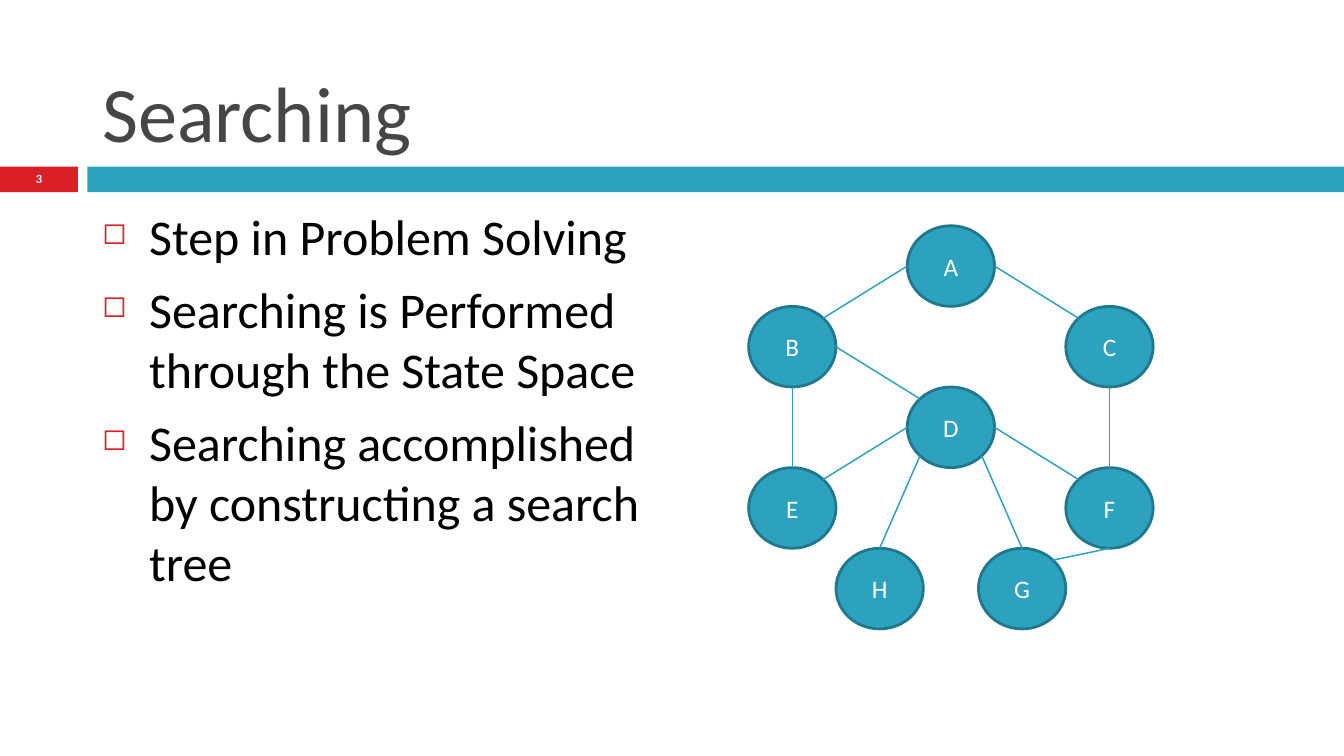
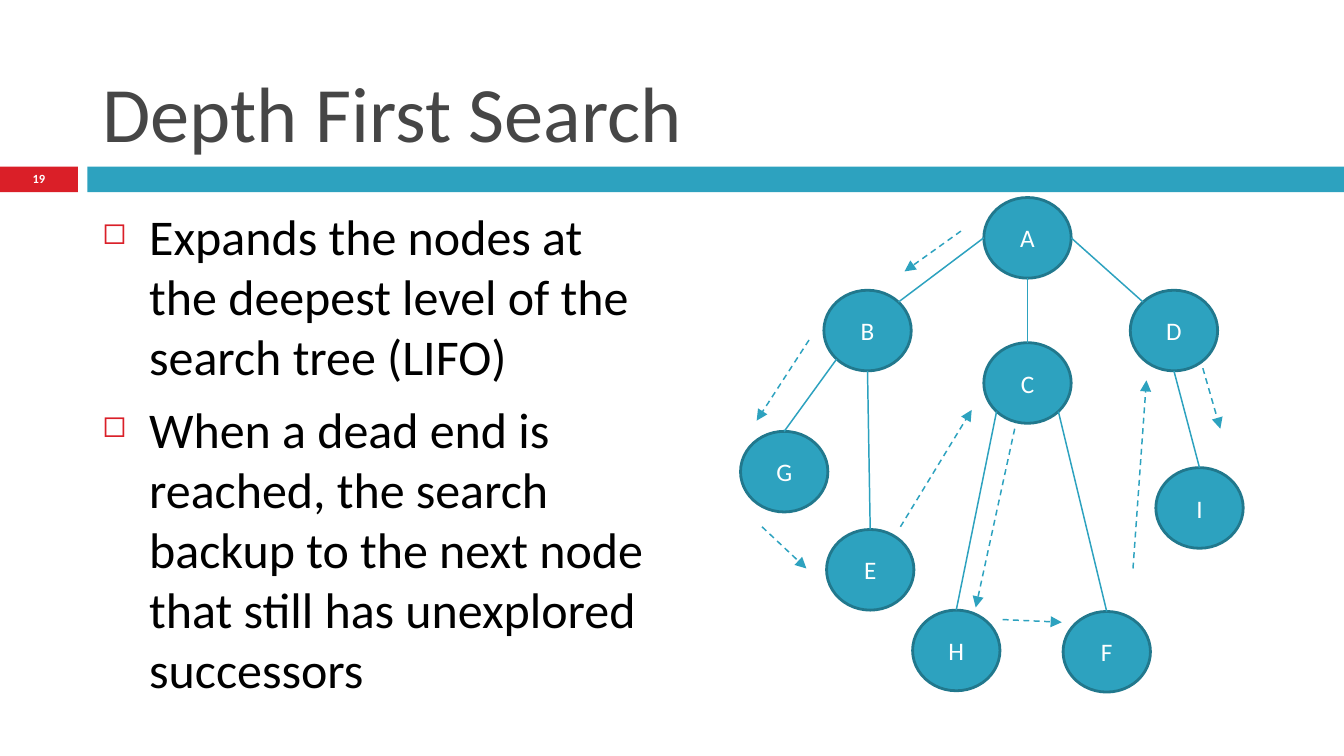
from math import sqrt

from lxml.etree import SubElement as Sub
from pptx import Presentation
from pptx.dml.color import RGBColor
from pptx.enum.dml import MSO_LINE as Dash
from pptx.enum.shapes import MSO_CONNECTOR as Link, MSO_SHAPE as Kind
from pptx.enum.text import MSO_ANCHOR as Anchor, PP_ALIGN as Align
from pptx.oxml.ns import qn
from pptx.util import Inches, Pt

FONT = "Calibri"
TEAL, RIM, RED = "2DA2BF", "21788D", "DA1F28"
GREY, BLACK, WHITE = "464646", "000000", "FFFFFF"
NODE_W, NODE_H = 0.65, 0.6
DIAG = sqrt(0.5)
SITES = {
    "n": (0, -1), "s": (0, 1), "w": (-1, 0), "e": (1, 0),
    "nw": (-DIAG, -DIAG), "ne": (DIAG, -DIAG),
    "sw": (-DIAG, DIAG), "se": (DIAG, DIAG),
}

SEARCH = {
    "title": "Searching",
    "page": "3",
    "points": [
        "Step in Problem Solving",
        "Searching is Performed through the State Space",
        "Searching accomplished by constructing a search tree",
    ],
    "spot": (5.57, 1.68),
    "nodes": {
        "A": (1.18, 0), "B": (0, 0.6), "C": (2.36, 0.6), "D": (1.18, 1.2),
        "E": (0, 1.8), "F": (2.36, 1.8), "H": (0.65, 2.4), "G": (1.71, 2.4),
    },
    "edges": [
        "A w B ne", "A e C nw", "B e D nw", "C s F n", "D e F nw",
        "B s E n", "D w E ne", "D sw H n", "D se G n", "F s G ne",
    ],
    "steps": [],
}
DEPTH = {
    "title": "Depth First Search",
    "page": "19",
    "points": [
        "Expands the nodes at the deepest level of the search tree (LIFO)",
        "When a dead end is reached, the search backup to the next node "
        "that still has unexplored successors",
    ],
    "spot": (5.51, 1.47),
    "nodes": {
        "A": (1.81, 0), "B": (0.62, 0.69), "C": (1.81, 1.08),
        "D": (2.9, 0.69), "E": (0.64, 2.47), "F": (2.4, 3.08),
        "H": (1.28, 3.07), "G": (0, 1.74), "I": (3.09, 2.01),
    },
    "edges": [
        "A w B ne", "A s C n", "A e D nw", "C se F n",
        "B s E n", "C sw H n", "B sw G n", "D s I n",
    ],
    "steps": [
        ((1.64, 0.25), (1.22, 0.55)), ((0.51, 1.06), (0.12, 1.66)),
        ((0.16, 2.45), (0.49, 2.76)), ((1.19, 2.45), (1.72, 1.58)),
        ((2.04, 1.72), (1.75, 3.05)), ((1.95, 3.14), (2.39, 3.16)),
        ((2.92, 2.76), (3.02, 1.36)), ((3.44, 1.27), (3.57, 1.72)),
    ],
}


def tint(code):
    """Turn a hex string into a colour."""
    return RGBColor.from_string(code)


def style(para, size, code, bold=False):
    """Format every run of a paragraph."""
    for run in para.runs:
        run.font.name = FONT
        run.font.size = Pt(size)
        run.font.bold = bold
        run.font.color.rgb = tint(code)


def pad(frame, side, edge):
    """Set the insets of a text frame."""
    frame.margin_left = frame.margin_right = Inches(side)
    frame.margin_top = frame.margin_bottom = Inches(edge)


def add_solid(shapes, kind, box, fill, rim=None):
    """Add a filled shape, with an outline if a rim colour is given."""
    shape = shapes.add_shape(kind, *map(Inches, box))
    shape.shadow.inherit = False
    shape.fill.solid()
    shape.fill.fore_color.rgb = tint(fill)
    if rim:
        shape.line.color.rgb = tint(rim)
        shape.line.width = Pt(1.5)
    else:
        shape.line.fill.background()
    return shape


def add_frame(slide, box, anchor, side=0.09, edge=0.05):
    """Add a wrapping text box and return its frame."""
    frame = slide.shapes.add_textbox(*map(Inches, box)).text_frame
    frame.word_wrap = True
    frame.vertical_anchor = anchor
    pad(frame, side, edge)
    return frame


def add_band(slide, page, box):
    """Draw the red and teal band with the page number."""
    left, top, width, height = box
    tab, gap = 0.58, 0.07
    add_solid(slide.shapes, Kind.RECTANGLE, (left, top, tab, height), RED)
    rest = (left + tab + gap, top, width - tab - gap, height)
    add_solid(slide.shapes, Kind.RECTANGLE, rest, TEAL)
    frame = add_frame(slide, (left, top - 0.01, tab, 0.2), Anchor.MIDDLE, 0, 0)
    frame.text = page
    para = frame.paragraphs[0]
    para.alignment = Align.CENTER
    style(para, 6.7, WHITE, True)


def add_title(slide, text, box):
    """Write the slide title."""
    frame = add_frame(slide, box, Anchor.BOTTOM)
    frame.text = text
    style(frame.paragraphs[0], 42, GREY)


def add_points(slide, points, box):
    """Write the list with hollow red bullets."""
    frame = add_frame(slide, box, Anchor.TOP)
    frame.text = "\n".join(points)
    for para in frame.paragraphs:
        para.space_before = Pt(7)
        style(para, 26.8, BLACK)
        props = para._p.get_or_add_pPr()
        props.set("marL", str(Inches(0.35)))
        props.set("indent", str(-Inches(0.35)))
        Sub(Sub(props, qn("a:buClr")), qn("a:srgbClr"), val=RED)
        Sub(props, qn("a:buSzPct"), val="60000")
        Sub(props, qn("a:buChar"), char="◻")


def add_node(shapes, name, left, top):
    """Draw one lettered node."""
    box = (left, top, NODE_W, NODE_H)
    frame = add_solid(shapes, Kind.OVAL, box, TEAL, RIM).text_frame
    pad(frame, 0, 0)
    frame.vertical_anchor = Anchor.MIDDLE
    frame.text = name
    para = frame.paragraphs[0]
    para.alignment = Align.CENTER
    style(para, 13.5, WHITE)


def add_link(shapes, start, end, arrow=False):
    """Draw a plain edge or a dashed arrow."""
    link = shapes.add_connector(Link.STRAIGHT, *map(Inches, start + end))
    link.line.color.rgb = tint(TEAL)
    link.line.width = Pt(0.79)
    props = link.element.spPr
    if arrow:
        link.line.dash_style = Dash.DASH
        Sub(props.find(qn("a:ln")), qn("a:tailEnd"), type="triangle")
    Sub(props, qn("a:effectLst"))


def add_graph(slide, data, spot):
    """Draw nodes, edges and search steps from the given corner."""
    shapes = slide.shapes.add_group_shape().shapes

    def place(point):
        """Shift a point by the corner of the graph."""
        return spot[0] + point[0], spot[1] + point[1]

    def site(name, side):
        """Find the point on the rim of a node."""
        left, top = place(data["nodes"][name])
        across, down = SITES[side]
        return (left + NODE_W / 2 * (1 + across),
                top + NODE_H / 2 * (1 + down))

    for name, point in data["nodes"].items():
        add_node(shapes, name, *place(point))
    for edge in data["edges"]:
        first, out, last, into = edge.split()
        add_link(shapes, site(first, out), site(last, into))
    for start, end in data["steps"]:
        add_link(shapes, place(start), place(end), True)


def add_page(deck, data):
    """Build one slide with band, title, list and graph."""
    slide = deck.slides.add_slide(deck.slide_layouts[6])
    add_band(slide, data["page"], (0, 1.24, 10, 0.19))
    add_title(slide, data["title"], (0.67, 0.13, 8.92, 1.1))
    add_points(slide, data["points"], (0.67, 1.48, 4.25, 3.57))
    add_graph(slide, data, data["spot"])


def main():
    """Build and save the deck."""
    deck = Presentation()
    deck.slide_width = Inches(10)
    deck.slide_height = Inches(10 * 9 / 16)
    for data in (SEARCH, DEPTH):
        add_page(deck, data)
    deck.save("out.pptx")


if __name__ == "__main__":
    main()
